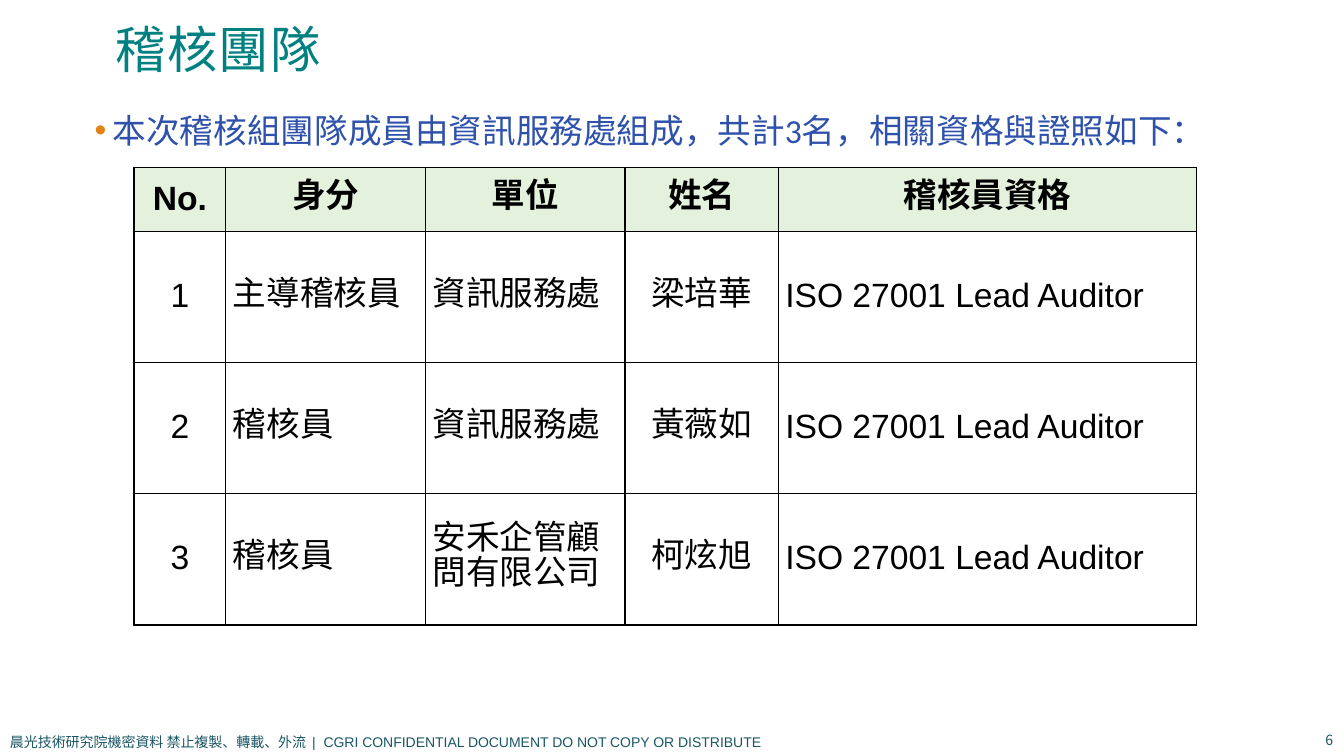
import pptx
import pptx.util
import pptx.dml.color
import pptx.enum.text
import pptx.oxml
import pptx.oxml.ns

Inches, Pt = pptx.util.Inches, pptx.util.Pt
RGBColor = pptx.dml.color.RGBColor
PP_ALIGN = pptx.enum.text.PP_ALIGN
MSO_ANCHOR = pptx.enum.text.MSO_ANCHOR

TITLE = "稽核團隊"
INTRO = "本次稽核組團隊成員由資訊服務處組成，共計3名，相關資格與證照如下："
FOOTER = "晨光技術研究院機密資料 禁止複製、轉載、外流  |  CGRI CONFIDENTIAL DOCUMENT DO NOT COPY OR DISTRIBUTE"
PAGE = "6"
HEADER = ["No.", "身分", "單位", "姓名", "稽核員資格"]
AUDITORS = [
    ["1", "主導稽核員", "資訊服務處", "梁培華", "ISO 27001 Lead Auditor"],
    ["2", "稽核員", "資訊服務處", "黃薇如", "ISO 27001 Lead Auditor"],
    ["3", "稽核員", "安禾企管顧問有限公司", "柯炫旭", "ISO 27001 Lead Auditor"],
]
COL_WIDTHS = [0.91, 1.98, 1.98, 1.52, 4.15]
HEADER_HEIGHT, ROW_HEIGHT = 0.64, 1.3
CENTERED_COLS = (0, 3)

TEAL = RGBColor(0x00, 0x80, 0x80)
BLUE = RGBColor(0x2E, 0x51, 0xAB)
DARK_TEAL = RGBColor(0x1A, 0x56, 0x64)
PALE_GREEN = RGBColor(0xE3, 0xF1, 0xDD)
WHITE = RGBColor(0xFF, 0xFF, 0xFF)
BLACK = RGBColor(0x00, 0x00, 0x00)
CJK_FONT = "Noto Sans CJK TC"
NS = pptx.oxml.ns.nsdecls("a")


def style(p, size, font, color, bold=False):
    for r in p.runs:
        r.font.size, r.font.name, r.font.bold = Pt(size), font, bold
        r.font.color.rgb = color
        r._r.get_or_add_rPr().append(
            pptx.oxml.parse_xml(f'<a:ea {NS} typeface="{CJK_FONT}"/>'))


def add_text(s, box, text, size, font, color, anchor=MSO_ANCHOR.TOP):
    tf = s.shapes.add_textbox(*map(Inches, box)).text_frame
    tf.word_wrap = True
    tf.vertical_anchor = anchor
    p = tf.paragraphs[0]
    p.text = text
    style(p, size, font, color)
    return p


def add_bullet(p, color, indent):
    pPr = p._p.get_or_add_pPr()
    pPr.set("marL", str(Inches(indent)))
    pPr.set("indent", str(-Inches(indent)))
    for xml in (f'<a:buClr {NS}><a:srgbClr val="{color}"/></a:buClr>',
                f'<a:buFont {NS} typeface="Arial"/>',
                f'<a:buChar {NS} char="•"/>'):
        pPr.append(pptx.oxml.parse_xml(xml))


def add_borders(cell):
    tcPr = cell._tc.get_or_add_tcPr()
    for i, side in enumerate(("lnL", "lnR", "lnT", "lnB")):
        tcPr.insert(i, pptx.oxml.parse_xml(
            f'<a:{side} {NS} w="{Pt(1)}"><a:solidFill><a:srgbClr val="{BLACK}"/>'
            f'</a:solidFill></a:{side}>'))


def fill_cell(cell, text, align, fill, bold):
    cell.fill.solid()
    cell.fill.fore_color.rgb = fill
    add_borders(cell)
    cell.margin_left = cell.margin_right = Inches(0.07)
    cell.margin_top = cell.margin_bottom = 0
    cell.vertical_anchor = MSO_ANCHOR.MIDDLE
    p = cell.text_frame.paragraphs[0]
    p.text = text
    p.alignment = align
    p.line_spacing = Pt(25)
    style(p, 24, "Arial", BLACK, bold)


def add_auditor_table(s):
    rows = [HEADER] + AUDITORS
    heights = [HEADER_HEIGHT] + [ROW_HEIGHT] * len(AUDITORS)
    box = (1.33, 1.66, sum(COL_WIDTHS), sum(heights))
    table = s.shapes.add_table(len(rows), len(HEADER), *map(Inches, box)).table
    for col, width in zip(table.columns, COL_WIDTHS):
        col.width = Inches(width)
    for i, (row, height) in enumerate(zip(rows, heights)):
        table.rows[i].height = Inches(height)
        head = i == 0
        for j, text in enumerate(row):
            centered = head or j in CENTERED_COLS
            fill_cell(table.cell(i, j), text,
                      PP_ALIGN.CENTER if centered else PP_ALIGN.LEFT,
                      PALE_GREEN if head else WHITE, head)


def main():
    prs = pptx.Presentation()
    prs.slide_width, prs.slide_height = Inches(13.33), Inches(7.5)
    s = prs.slides.add_slide(prs.slide_layouts[6])

    add_text(s, (0, 7.23, 8.19, 0.27), FOOTER, 10, "Arial", DARK_TEAL)

    p = add_text(s, (1.05, 0.13, 11.24, 0.71), TITLE, 36, "Calibri", TEAL, MSO_ANCHOR.BOTTOM)
    p.line_spacing = 0.9
    p.runs[0]._r.get_or_add_rPr().set("spc", "80")

    p = add_text(s, (12.4, 7.19, 0.92, 0.3), PAGE, 10, CJK_FONT, DARK_TEAL, MSO_ANCHOR.MIDDLE)
    p.alignment = PP_ALIGN.RIGHT

    p = add_text(s, (0.84, 0.84, 12.21, 1.65), INTRO, 24, "Calibri", BLUE)
    p.line_spacing = 1.5
    add_bullet(p, RGBColor(0xE2, 0x83, 0x17), 0.18)

    add_auditor_table(s)
    prs.save("out.pptx")


if __name__ == "__main__":
    main()
